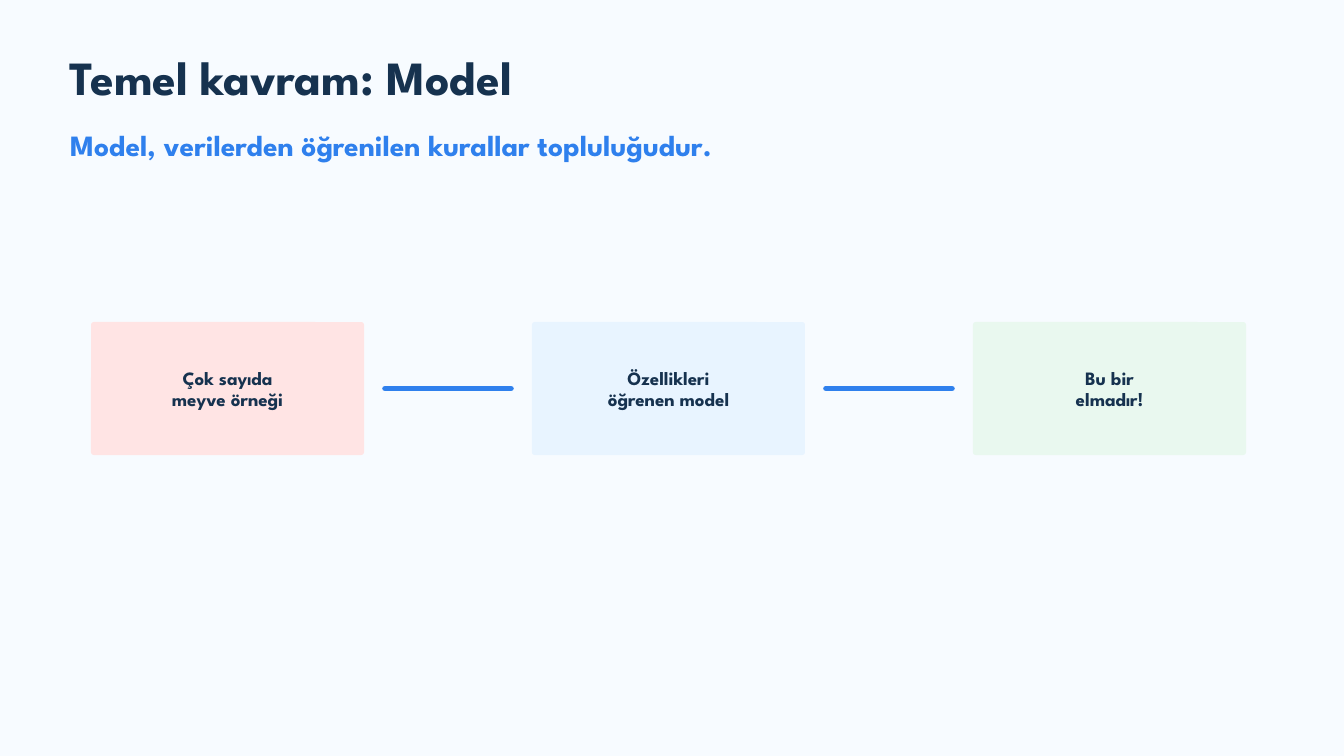
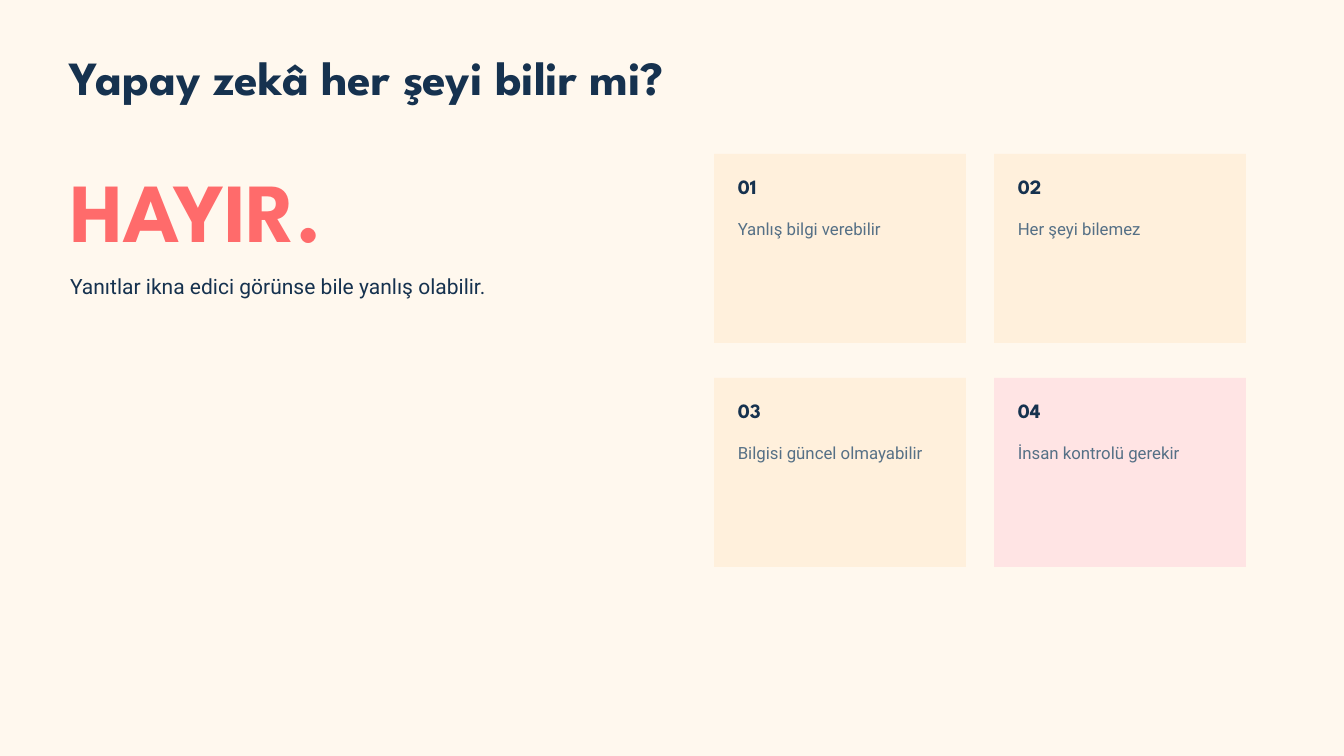
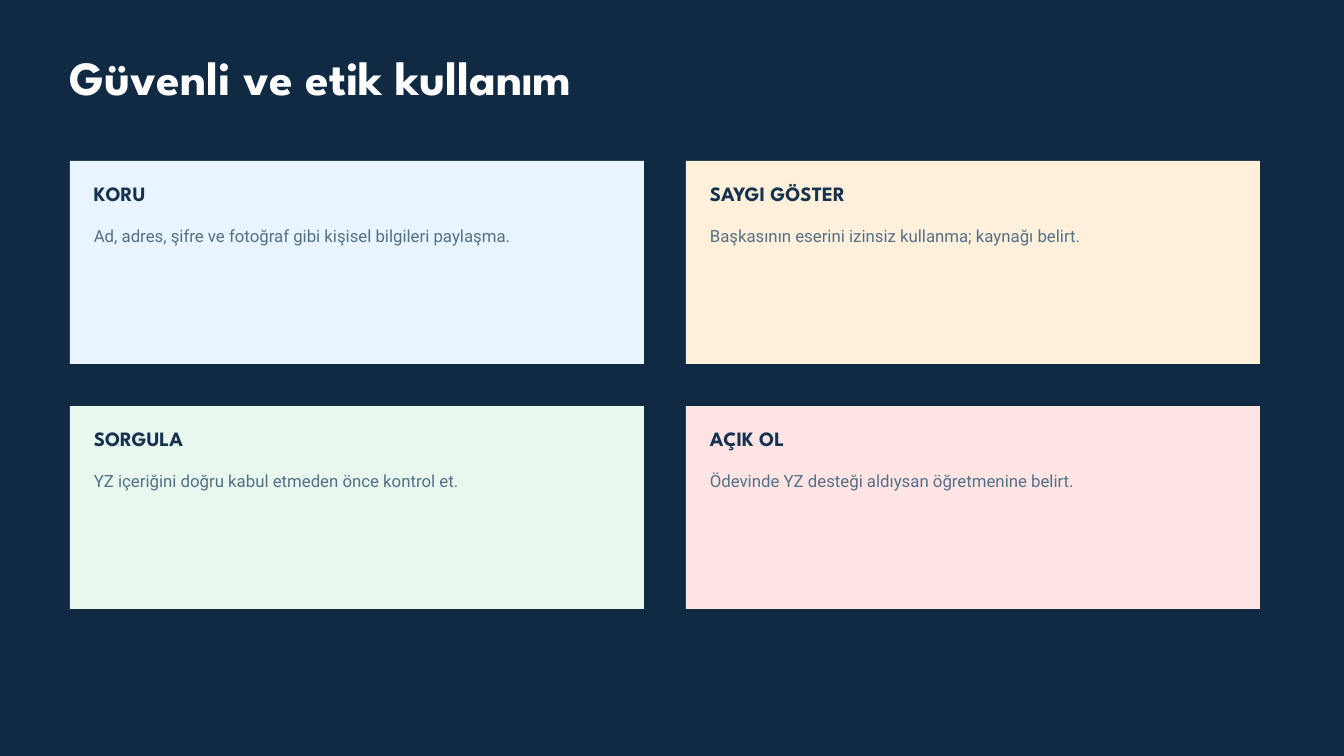
from collections import namedtuple

import pptx
import pptx.dml.color
import pptx.enum.shapes
import pptx.enum.text
import pptx.oxml.ns
import pptx.util
from lxml import etree

SHAPE = pptx.enum.shapes.MSO_SHAPE
ALIGN = pptx.enum.text.PP_ALIGN
ANCHOR = pptx.enum.text.MSO_ANCHOR
FIT = pptx.enum.text.MSO_AUTO_SIZE

# Content
MODEL = {
    "title": "Temel kavram: Model",
    "subtitle": "Model, verilerden öğrenilen kurallar topluluğudur.",
    "steps": [
        (["Çok sayıda", "meyve örneği"], "rose"),
        (["Özellikleri", "öğrenen model"], "sky"),
        (["Bu bir", "elmadır!"], "mint"),
    ],
}
LIMITS = {
    "title": "Yapay zekâ her şeyi bilir mi?",
    "answer": "HAYIR.",
    "reason": "Yanıtlar ikna edici görünse bile yanlış olabilir.",
    "cards": [
        ("01", "Yanlış bilgi verebilir", "sand"),
        ("02", "Her şeyi bilemez", "sand"),
        ("03", "Bilgisi güncel olmayabilir", "sand"),
        ("04", "İnsan kontrolü gerekir", "rose"),
    ],
}
ETHICS = {
    "title": "Güvenli ve etik kullanım",
    "cards": [
        ("KORU", "Ad, adres, şifre ve fotoğraf gibi kişisel bilgileri paylaşma.", "sky"),
        ("SAYGI GÖSTER", "Başkasının eserini izinsiz kullanma; kaynağı belirt.", "sand"),
        ("SORGULA", "YZ içeriğini doğru kabul etmeden önce kontrol et.", "mint"),
        ("AÇIK OL", "Ödevinde YZ desteği aldıysan öğretmenine belirt.", "rose"),
    ],
}

# Theme: type styles hold size and line spacing in points
Style = namedtuple("Style", "font size spacing color bold")
HEAD, BODY = "League Spartan", "Roboto"


class Theme:
    colors = {
        "ice": "F7FBFF", "cream": "FFF8EE", "night": "102A43",
        "rose": "FFE4E4", "sky": "E8F4FF", "mint": "E9F8EF", "sand": "FFF0DC",
        "navy": "16324F", "blue": "2F80ED", "coral": "FF6B6B",
        "slate": "557086", "white": "FFFFFF",
    }
    title = Style(HEAD, 51, 53.5, "navy", True)
    subtitle = Style(HEAD, 31.5, 44.1, "blue", True)
    step = Style(HEAD, 20.2, 22.3, "navy", True)
    answer = Style(HEAD, 90, 126, "coral", True)
    reason = Style(BODY, 22.5, 29.2, "navy", False)
    card_head = Style(HEAD, 21.8, 24.4, "navy", True)
    card_body = Style(BODY, 18, 22.5, "slate", False)
    link_width = 6


PX = 9525
MARGIN = 100


def px(*lengths):
    return [pptx.util.Emu(round(length * PX)) for length in lengths]


def color(name):
    return pptx.dml.color.RGBColor.from_string(Theme.colors[name])


# Shared parts
def add_slide(deck, background, title, title_color="navy"):
    slide = deck.slides.add_slide(deck.slide_layouts[6])
    slide.background.fill.solid()
    slide.background.fill.fore_color.rgb = color(background)
    add_text(slide.shapes, (MARGIN, 78, 1500, 73), [title],
             Theme.title._replace(color=title_color))
    return slide


def add_text(shapes, place, lines, style, centred=False):
    frame = shapes.add_textbox(*px(*place)).text_frame
    frame.word_wrap = True
    inset = px(6 if centred else 0)[0]
    frame.margin_left = frame.margin_right = inset
    frame.margin_top = frame.margin_bottom = inset
    frame.auto_size = FIT.NONE if centred else FIT.SHAPE_TO_FIT_TEXT
    frame.vertical_anchor = ANCHOR.MIDDLE if centred else ANCHOR.TOP
    for index, line in enumerate(lines):
        paragraph = frame.add_paragraph() if index else frame.paragraphs[0]
        paragraph.alignment = ALIGN.CENTER if centred else ALIGN.LEFT
        paragraph.line_spacing = pptx.util.Pt(style.spacing)
        run = paragraph.add_run()
        run.text = line
        run.font.name = style.font
        run.font.size = pptx.util.Pt(style.size)
        run.font.bold = style.bold
        run.font.color.rgb = color(style.color)


def add_panel(shapes, place, fill, radius=0):
    kind = SHAPE.ROUNDED_RECTANGLE if radius else SHAPE.RECTANGLE
    panel = shapes.add_shape(kind, *px(*place))
    if radius:
        panel.adjustments[0] = radius / min(place[2:])
    panel.shadow.inherit = False
    panel.fill.solid()
    panel.fill.fore_color.rgb = color(fill)
    panel.line.fill.background()


def add_link(shapes, start, end, y):
    link = shapes.add_connector(
        pptx.enum.shapes.MSO_CONNECTOR.STRAIGHT, *px(start, y, end, y))
    link.line.color.rgb = color("blue")
    link.line.width = pptx.util.Pt(Theme.link_width)
    properties = link._element.spPr
    properties.find(pptx.oxml.ns.qn("a:ln")).set("cap", "rnd")
    etree.SubElement(properties, pptx.oxml.ns.qn("a:effectLst"))


def add_card_grid(slide, cards, left, top, width, height, gap_x, gap_y):
    pad = 34
    for index, (heading, body, fill) in enumerate(cards):
        row, column = divmod(index, 2)
        x = left + column * (width + gap_x)
        y = top + row * (height + gap_y)
        card = slide.shapes.add_group_shape().shapes
        add_panel(card, (x, y, width, height), fill)
        add_text(card, (x + pad, y + 31, width - 2 * pad, 34), [heading], Theme.card_head)
        add_text(card, (x + pad, y + 91, width - 2 * pad, 30), [body], Theme.card_body)


# Slides
def add_model(deck):
    slide = add_slide(deck, "ice", MODEL["title"])
    add_text(slide.shapes, (MARGIN, 173, 1050, 57), [MODEL["subtitle"]], Theme.subtitle)
    left, top, width, height, gap, clearance = 130, 460, 390, 190, 240, 30
    for index, (lines, fill) in enumerate(MODEL["steps"]):
        x = left + index * (width + gap)
        if index:
            add_link(slide.shapes, x - gap + clearance, x - clearance, top + height / 2)
        step = slide.shapes.add_group_shape().shapes
        add_panel(step, (x, top, width, height), fill, radius=4)
        add_text(step, (x, top + 2, width, height - 2), lines, Theme.step, centred=True)


def add_limits(deck):
    slide = add_slide(deck, "cream", LIMITS["title"])
    add_text(slide.shapes, (MARGIN, 202, 700, 162), [LIMITS["answer"]], Theme.answer)
    add_text(slide.shapes, (MARGIN, 388, 770, 38), [LIMITS["reason"]], Theme.reason)
    add_card_grid(slide, LIMITS["cards"], left=1020, top=220,
                  width=360, height=270, gap_x=40, gap_y=50)


def add_ethics(deck):
    slide = add_slide(deck, "night", ETHICS["title"], title_color="white")
    add_card_grid(slide, ETHICS["cards"], left=MARGIN, top=230,
                  width=820, height=290, gap_x=60, gap_y=60)


def main():
    deck = pptx.Presentation()
    deck.slide_width, deck.slide_height = px(1920, 1080)
    add_model(deck)
    add_limits(deck)
    add_ethics(deck)
    deck.save("out.pptx")


if __name__ == "__main__":
    main()
